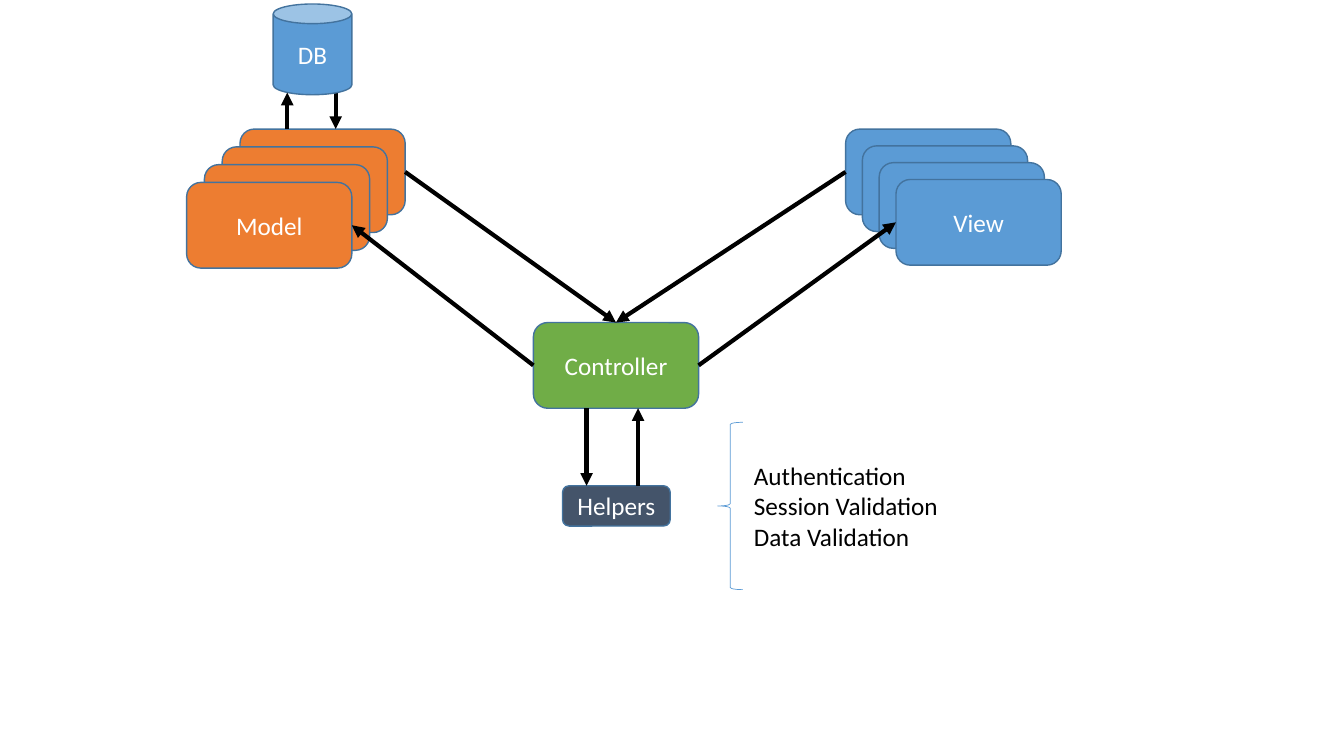
from lxml import etree
from pptx import Presentation
from pptx.dml.color import RGBColor
from pptx.enum import shapes, text
from pptx.oxml import ns
from pptx.util import Pt

ORANGE = RGBColor(0xED, 0x7D, 0x31)
BLUE = RGBColor(0x5B, 0x9B, 0xD5)
GREEN = RGBColor(0x70, 0xAD, 0x47)
SLATE = RGBColor(0x44, 0x54, 0x6A)
OUTLINE = RGBColor(0x43, 0x73, 0x9E)
WHITE = RGBColor(0xFF, 0xFF, 0xFF)
BLACK = RGBColor(0, 0, 0)

ROUNDED = shapes.MSO_SHAPE.ROUNDED_RECTANGLE
CAN = shapes.MSO_SHAPE.CAN
BRACE = shapes.MSO_SHAPE.LEFT_BRACE
LABEL_FONT = {"name": "Calibri", "size": Pt(18)}

BOX_W, BOX_H = 118, 61.2
LAYERS = 4
TOP_ROW = 92.2
MODEL = {"label": "Model", "fill": ORANGE, "left": 171.4, "step": (-12.7, 12.7)}
VIEW = {"label": "View", "fill": BLUE, "left": 604, "step": (12, 12)}
CONTROLLER = ("Controller", ROUNDED, GREEN, (381, 230.4, BOX_W, BOX_H))
HELPERS = ("Helpers", ROUNDED, SLATE, (401.8, 347, 77, 28.8))
DB = ("DB", CAN, BLUE, (195.1, 2.9, 56.2, 64.8))
HELPER_TASKS = ["Authentication", "Session Validation", "Data Validation"]
TASK_BRACE = (512.6, 301.7, 18, 119.5)
TASK_AREA = (531.4, 325.4, 147.6, 72.7)


def format_font(font, color):
    for key, value in LABEL_FONT.items():
        setattr(font, key, value)
    font.color.rgb = color


def add_node(label, kind, fill, area):
    node = slide.shapes.add_shape(kind, *map(Pt, area))
    node.shadow.inherit = False
    node.fill.solid()
    node.fill.fore_color.rgb = fill
    node.line.color.rgb = OUTLINE
    node.line.width = Pt(1)
    frame = node.text_frame
    frame.vertical_anchor = text.MSO_ANCHOR.MIDDLE
    frame.text = label
    frame.paragraphs[0].alignment = text.PP_ALIGN.CENTER
    format_font(frame.paragraphs[0].runs[0].font, WHITE)


def add_stack(stack):
    for layer in range(LAYERS):
        left = stack["left"] + layer * stack["step"][0]
        top = TOP_ROW + layer * stack["step"][1]
        add_node(stack["label"], ROUNDED, stack["fill"], (left, top, BOX_W, BOX_H))
    return left, top


def add_arrow(start, end):
    arrow = slide.shapes.add_connector(
        shapes.MSO_CONNECTOR.STRAIGHT, *map(Pt, start + end))
    arrow.line.color.rgb = BLACK
    arrow.line.width = Pt(3)
    etree.SubElement(arrow.line._get_or_add_ln(), ns.qn("a:tailEnd"), type="triangle")
    etree.SubElement(arrow._element.spPr, ns.qn("a:effectLst"))


prs = Presentation()
prs.slide_width, prs.slide_height = Pt(960), Pt(540)
slide = prs.slides.add_slide(prs.slide_layouts[6])

model_left, model_top = add_stack(MODEL)
view_left, view_top = add_stack(VIEW)
add_node(*CONTROLLER)
add_node(*HELPERS)

left, top, width, height = CONTROLLER[3]
middle, center = top + height / 2, left + width / 2
right, bottom = left + width, top + height
helpers_top = HELPERS[3][1]
back_middle = TOP_ROW + BOX_H / 2

add_arrow((239.8, 62), (239.8, TOP_ROW))
add_node(*DB)
for start, end in [
    ((205.2, TOP_ROW), (205.2, 66.2)),
    ((MODEL["left"] + BOX_W, back_middle), (center, top)),
    ((VIEW["left"], back_middle), (center, top)),
    ((left, middle), (model_left + BOX_W, model_top + BOX_H / 2)),
    ((right, middle), (view_left, view_top + BOX_H / 2)),
    ((419, bottom), (419, helpers_top)),
    ((455.8, helpers_top), (455.8, bottom)),
]:
    add_arrow(start, end)

brace = slide.shapes.add_shape(BRACE, *map(Pt, TASK_BRACE))
brace.shadow.inherit = False
brace.fill.background()
brace.line.color.rgb = BLUE
brace.line.width = Pt(0.5)

tasks = slide.shapes.add_textbox(*map(Pt, TASK_AREA)).text_frame
tasks.word_wrap = False
tasks.auto_size = text.MSO_AUTO_SIZE.SHAPE_TO_FIT_TEXT
tasks.text = "\n".join(HELPER_TASKS)
for task in tasks.paragraphs:
    format_font(task.runs[0].font, BLACK)

prs.save("out.pptx")
